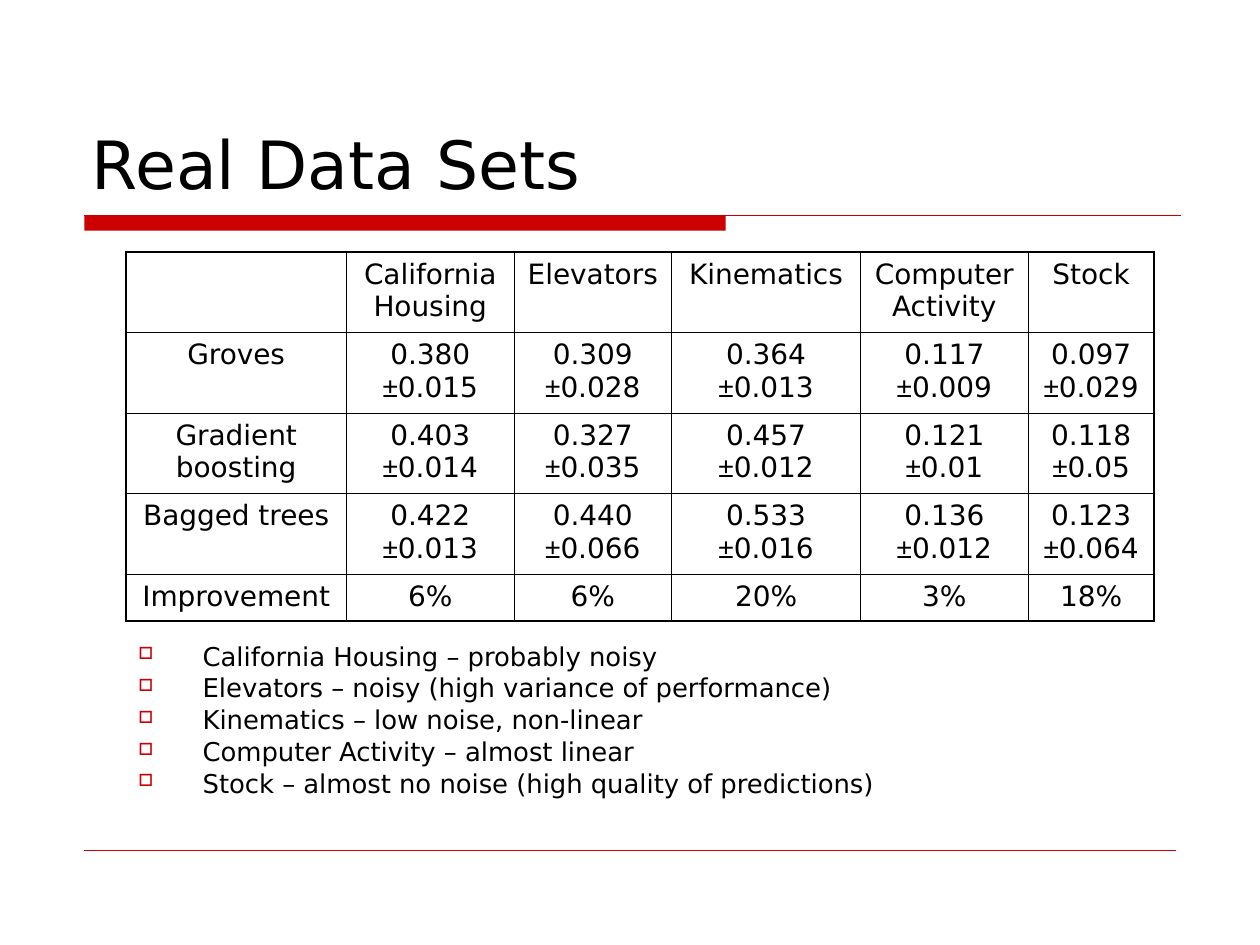
import pptx
import pptx.dml.color
import pptx.enum.shapes
import pptx.enum.text
import pptx.oxml
import pptx.oxml.ns
import pptx.util
import lxml.etree

Inches = pptx.util.Inches
Pt = pptx.util.Pt

FONT = "DejaVu Sans"
SYMBOL_FONT = "Arial"
RED = "CC0000"
BLACK = "000000"
OUTER_BORDER = 1.08
INNER_BORDER = 0.45

COLUMN_WIDTHS = [1.75, 1.33, 1.25, 1.5, 1.33, 1]
ROW_HEIGHTS = [0.64, 0.64, 0.64, 0.64, 0.37]
RESULTS = [
    ["", "California Housing", "Elevators", "Kinematics", "Computer Activity", "Stock"],
    ["Groves", "0.380 ±0.015", "0.309 ±0.028", "0.364 ±0.013", "0.117 ±0.009", "0.097 ±0.029"],
    ["Gradient boosting", "0.403 ±0.014", "0.327 ±0.035", "0.457 ±0.012", "0.121 ±0.01", "0.118 ±0.05"],
    ["Bagged trees", "0.422 ±0.013", "0.440 ±0.066", "0.533 ±0.016", "0.136 ±0.012", "0.123 ±0.064"],
    ["Improvement", "6%", "6%", "20%", "3%", "18%"],
]
REMARKS = [
    "California Housing – probably noisy",
    "Elevators – noisy (high variance of performance)",
    "Kinematics – low noise, non-linear",
    "Computer Activity – almost linear",
    "Stock – almost no noise (high quality of predictions)",
]


def color(hex_string):
    return pptx.dml.color.RGBColor.from_string(hex_string)


def add_element(parent, tag, **attributes):
    element = lxml.etree.SubElement(parent, pptx.oxml.ns.qn(tag))
    for name, value in attributes.items():
        element.set(name, str(value))
    return element


def format_font(paragraph, size):
    paragraph.font.name = FONT
    paragraph.font.size = Pt(size)
    paragraph.font.color.rgb = color(BLACK)


def set_title(slide, text):
    title = slide.shapes.title
    title.left, title.top = Inches(0.63), Inches(0.33)
    title.width, title.height = Inches(8.75), Inches(1.33)
    frame = title.text_frame
    frame.text = text
    frame.auto_size = pptx.enum.text.MSO_AUTO_SIZE.NONE
    frame.vertical_anchor = pptx.enum.text.MSO_ANCHOR.BOTTOM
    paragraph = frame.paragraphs[0]
    paragraph.alignment = pptx.enum.text.PP_ALIGN.LEFT
    format_font(paragraph, 38)


def add_bar(slide, left, top, width, height):
    bar = slide.shapes.add_shape(
        pptx.enum.shapes.MSO_SHAPE.RECTANGLE,
        Inches(left), Inches(top), Inches(width), Inches(height))
    bar.shadow.inherit = False
    bar.fill.solid()
    bar.fill.fore_color.rgb = color(RED)
    bar.line.fill.background()


def add_rule(slide, left, right, y, width):
    rule = slide.shapes.add_connector(
        pptx.enum.shapes.MSO_CONNECTOR.STRAIGHT,
        Inches(left), Inches(y), Inches(right), Inches(y))
    rule.line.color.rgb = color(RED)
    rule.line.width = Pt(width)
    add_element(rule._element.spPr, "a:effectLst")


def set_borders(cell, widths):
    """Set the left, right, top and bottom border widths in points."""
    properties = cell._tc.get_or_add_tcPr()
    for position, (tag, width) in enumerate(zip(("a:lnL", "a:lnR", "a:lnT", "a:lnB"), widths)):
        line = add_element(properties, tag, w=int(Pt(width)))
        fill = add_element(line, "a:solidFill")
        add_element(fill, "a:srgbClr", val=BLACK)
        properties.remove(line)
        properties.insert(position, line)


def fill_cell(cell, text):
    cell.fill.background()
    paragraph = cell.text_frame.paragraphs[0]
    paragraph.alignment = pptx.enum.text.PP_ALIGN.CENTER
    paragraph.space_before = Pt(4)
    format_font(paragraph, 16)
    value, sign, deviation = text.partition("±")
    for part in filter(None, (value, sign, deviation)):
        run = paragraph.add_run()
        run.text = part
        run.font.name = SYMBOL_FONT if part == "±" else FONT


def add_results_table(slide):
    row_count, column_count = len(ROW_HEIGHTS), len(COLUMN_WIDTHS)
    table = slide.shapes.add_table(
        row_count, column_count, Inches(1), Inches(2),
        Inches(sum(COLUMN_WIDTHS)), Inches(sum(ROW_HEIGHTS))).table
    table.first_row = False
    table.horz_banding = False
    for column, width in zip(table.columns, COLUMN_WIDTHS):
        column.width = Inches(width)
    for row, height in zip(table.rows, ROW_HEIGHTS):
        row.height = Inches(height)
    for row_index, texts in enumerate(RESULTS):
        for column_index, text in enumerate(texts):
            cell = table.cell(row_index, column_index)
            fill_cell(cell, text)
            on_edge = (column_index == 0, column_index == column_count - 1,
                       row_index == 0, row_index == row_count - 1)
            set_borders(cell, [OUTER_BORDER if edge else INNER_BORDER for edge in on_edge])


def set_bullet(paragraph):
    properties = paragraph._p.get_or_add_pPr()
    properties.set("marL", str(Inches(0.51)))
    properties.set("indent", str(-Inches(0.51)))
    bullet_color = pptx.oxml.parse_xml(
        f'<a:buClr {pptx.oxml.ns.nsdecls("a")}><a:srgbClr val="{RED}"/></a:buClr>')
    bullet_size = pptx.oxml.parse_xml(
        f'<a:buSzPct {pptx.oxml.ns.nsdecls("a")} val="65000"/>')
    bullet = pptx.oxml.parse_xml(
        f'<a:buChar {pptx.oxml.ns.nsdecls("a")} char="□"/>')
    default_font = properties.find(pptx.oxml.ns.qn("a:defRPr"))
    for element in (bullet_color, bullet_size, bullet):
        default_font.addprevious(element)


def add_remarks(slide):
    box = slide.shapes.add_textbox(Inches(1), Inches(5.08), Inches(8.75), Inches(1.33))
    frame = box.text_frame
    frame.word_wrap = True
    frame.text = "\n".join(REMARKS)
    for paragraph in frame.paragraphs:
        paragraph.line_spacing = 0.8
        paragraph.space_before = Pt(4)
        format_font(paragraph, 14.8)
        set_bullet(paragraph)


def main():
    presentation = pptx.Presentation()
    presentation.slide_width = Inches(10)
    presentation.slide_height = Inches(7.5)
    slide = presentation.slides.add_slide(presentation.slide_layouts[5])
    add_bar(slide, 0.67, 1.71, 5.09, 0.12)
    add_rule(slide, 0.67, 9.37, 1.71, 0.75)
    add_rule(slide, 0.67, 9.33, 6.75, 0.25)
    set_title(slide, "Real Data Sets")
    add_results_table(slide)
    add_remarks(slide)
    presentation.save("out.pptx")


if __name__ == "__main__":
    main()
